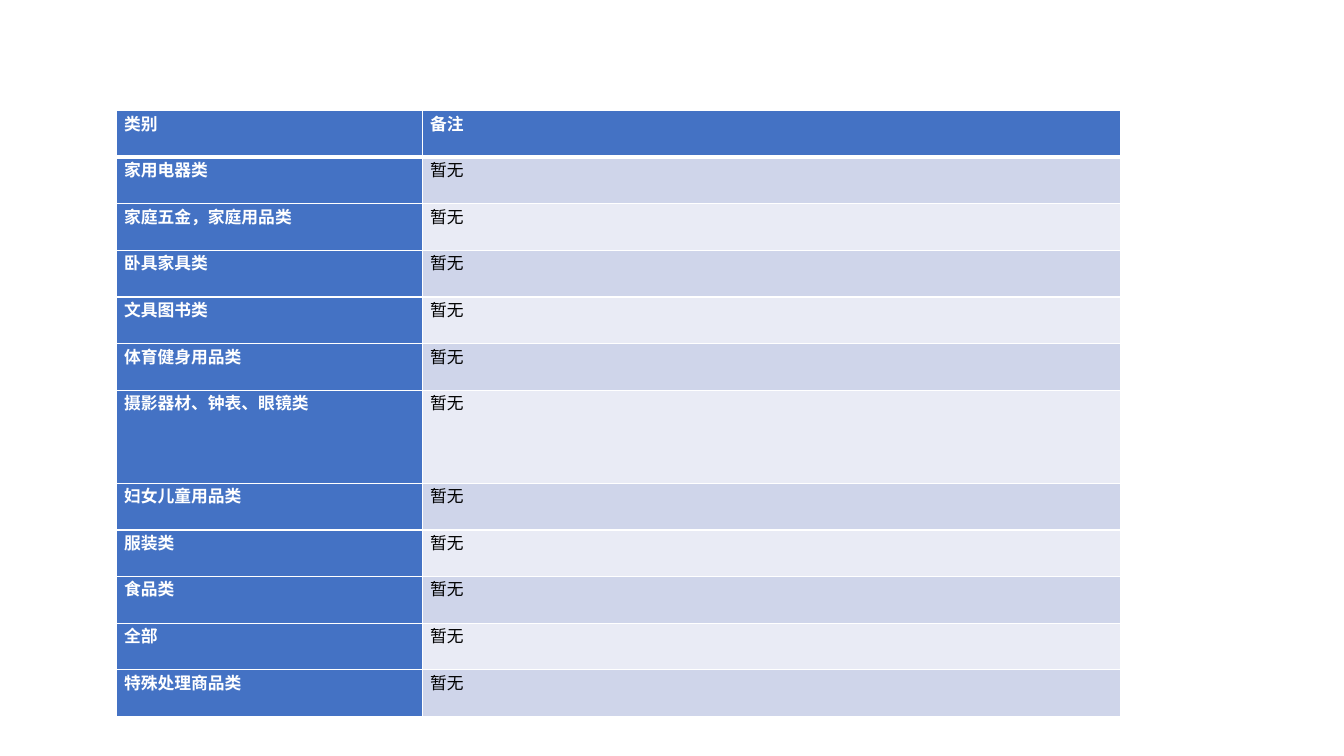
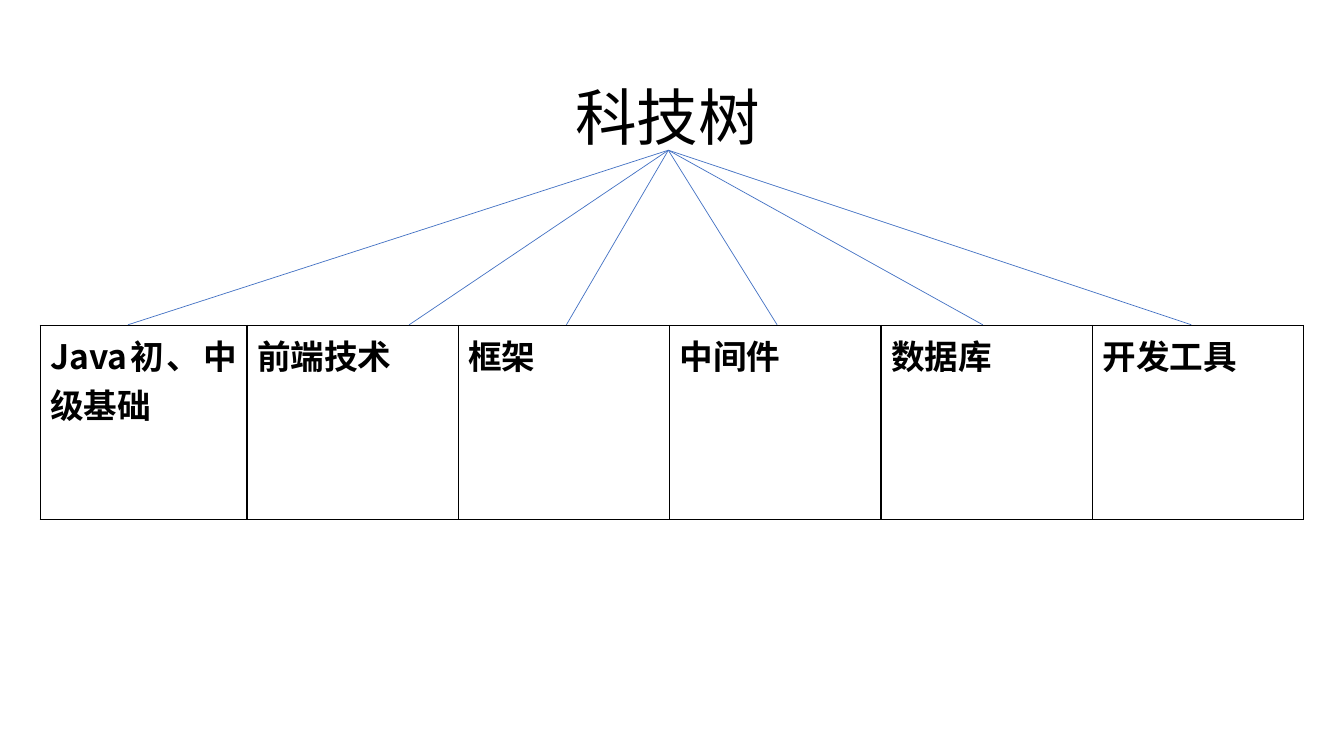
import dataclasses
from typing import Sequence

import lxml.etree
import pptx
import pptx.dml.color
import pptx.enum.lang
import pptx.enum.shapes
import pptx.enum.text
import pptx.oxml.ns
import pptx.util

Pt = pptx.util.Pt
RGBColor = pptx.dml.color.RGBColor
PP_ALIGN = pptx.enum.text.PP_ALIGN
qn = pptx.oxml.ns.qn

FONT = "Noto Sans CJK SC"
BLUE = RGBColor(0x44, 0x72, 0xC4)
BAND_DARK = RGBColor(0xCF, 0xD5, 0xEA)
BAND_LIGHT = RGBColor(0xE9, 0xEB, 0xF5)
WHITE = RGBColor(0xFF, 0xFF, 0xFF)
BLACK = RGBColor(0x00, 0x00, 0x00)

CATEGORIES = (
    "家用电器类", "家庭五金，家庭用品类", "卧具家具类", "文具图书类",
    "体育健身用品类", "摄影器材、钟表、眼镜类", "妇女儿童用品类",
    "服装类", "食品类", "全部", "特殊处理商品类",
)
TALL_CATEGORY = "摄影器材、钟表、眼镜类"
ROW_HEIGHT = 33.28

TREE_TIP = (477.4, 107.3)
TREE_BASE = 232


@dataclasses.dataclass(frozen=True)
class TextStyle:
    size: float
    color: RGBColor
    bold: bool = False


@dataclasses.dataclass(frozen=True)
class CellStyle:
    text: TextStyle
    fill: RGBColor
    border: RGBColor
    margins: tuple[float, float] = (7.2, 3.6)
    top: float = 1
    bottom: float = 1


@dataclasses.dataclass(frozen=True)
class Branch:
    text: str
    x: float


BRANCHES = (
    Branch("Java初、中级基础", 91.4),
    Branch("前端技术", 292.3),
    Branch("框架", 404.6),
    Branch("中间件", 555.1),
    Branch("数据库", 702),
    Branch("开发工具", 851),
)

TITLE = TextStyle(44, BLACK)
LABEL = TextStyle(12, WHITE, True)
NOTE = TextStyle(12, BLACK)
BRANCH = CellStyle(TextStyle(24, BLACK, True), WHITE, BLACK)


def write(tf, text: str, style: TextStyle, align: PP_ALIGN) -> None:
    tf.text = text
    p = tf.paragraphs[0]
    p.alignment = align
    r = p.runs[0]
    r.font.size = Pt(style.size)
    r.font.bold = style.bold
    r.font.color.rgb = style.color
    r.font.name = FONT
    r.font.language_id = pptx.enum.lang.MSO_LANGUAGE_ID.SIMPLIFIED_CHINESE
    lxml.etree.SubElement(r.font._element, qn("a:ea"), typeface=FONT)


def add_border(cell, side: str, width: float, color: RGBColor) -> None:
    tc_pr = cell._tc.get_or_add_tcPr()
    ln = lxml.etree.SubElement(tc_pr, qn(f"a:ln{side}"), w=str(Pt(width)))
    fill = lxml.etree.SubElement(ln, qn("a:solidFill"))
    lxml.etree.SubElement(fill, qn("a:srgbClr"), val=str(color))


def fill_cell(cell, text: str, style: CellStyle) -> None:
    for side, width in (("L", 1), ("R", 1), ("T", style.top), ("B", style.bottom)):
        add_border(cell, side, width, style.border)
    cell.fill.solid()
    cell.fill.fore_color.rgb = style.fill
    cell.margin_left = cell.margin_right = Pt(style.margins[0])
    cell.margin_top = cell.margin_bottom = Pt(style.margins[1])
    write(cell.text_frame, text, style.text, PP_ALIGN.JUSTIFY)


def add_table(s, left: float, top: float, widths: Sequence[float], heights: Sequence[float]):
    table = s.shapes.add_table(
        len(heights), len(widths), Pt(left), Pt(top), Pt(sum(widths)), Pt(sum(heights))
    ).table
    table.first_row = table.horz_banding = False
    for column, width in zip(table.columns, widths):
        column.width = Pt(width)
    for row, height in zip(table.rows, heights):
        row.height = Pt(height)
    return table


def add_line(s, start: tuple[float, float], end: tuple[float, float]) -> None:
    line = s.shapes.add_connector(
        pptx.enum.shapes.MSO_CONNECTOR.STRAIGHT, *(Pt(v) for v in (*start, *end))
    )
    line.line.color.rgb = BLUE
    line.line.width = Pt(0.5)
    lxml.etree.SubElement(line._element.spPr, qn("a:effectLst"))


def build_categories(s) -> None:
    rows = [("类别", "备注")] + [(name, "暂无") for name in CATEGORIES]
    heights = [ROW_HEIGHT * (2 if name == TALL_CATEGORY else 1) for name, _ in rows]
    table = add_table(s, 83.2, 79, (218.6, 498.4), heights)
    for i, row in enumerate(rows):
        band = BAND_DARK if i % 2 else BAND_LIGHT
        for j, text in enumerate(row):
            is_label = i == 0 or j == 0
            style = CellStyle(
                LABEL if is_label else NOTE,
                BLUE if is_label else band,
                WHITE,
                margins=(5.4, 0),
                top=3 if i == 1 else 1,
                bottom=3 if i == 0 else 1,
            )
            fill_cell(table.cell(i, j), text, style)


def build_tree(s) -> None:
    sp = s.shapes.add_textbox(Pt(63), Pt(34), Pt(828), Pt(104.4))
    tf = sp.text_frame
    tf.word_wrap = True
    tf.vertical_anchor = pptx.enum.text.MSO_ANCHOR.MIDDLE
    write(tf, "科技树", TITLE, PP_ALIGN.CENTER)
    tf.paragraphs[0].line_spacing = 0.9

    widths = [147.6] + [151] * (len(BRANCHES) - 1)
    table = add_table(s, 28.8, 232.4, widths, [138.8])
    for j, branch in enumerate(BRANCHES):
        fill_cell(table.cell(0, j), branch.text, BRANCH)
        add_line(s, (branch.x, TREE_BASE), TREE_TIP)


def main() -> None:
    prs = pptx.Presentation()
    prs.slide_width, prs.slide_height = Pt(960), Pt(540)
    blank = prs.slide_layouts[6]
    for build in (build_categories, build_tree):
        build(prs.slides.add_slide(blank))
    prs.save("out.pptx")


if __name__ == "__main__":
    main()
